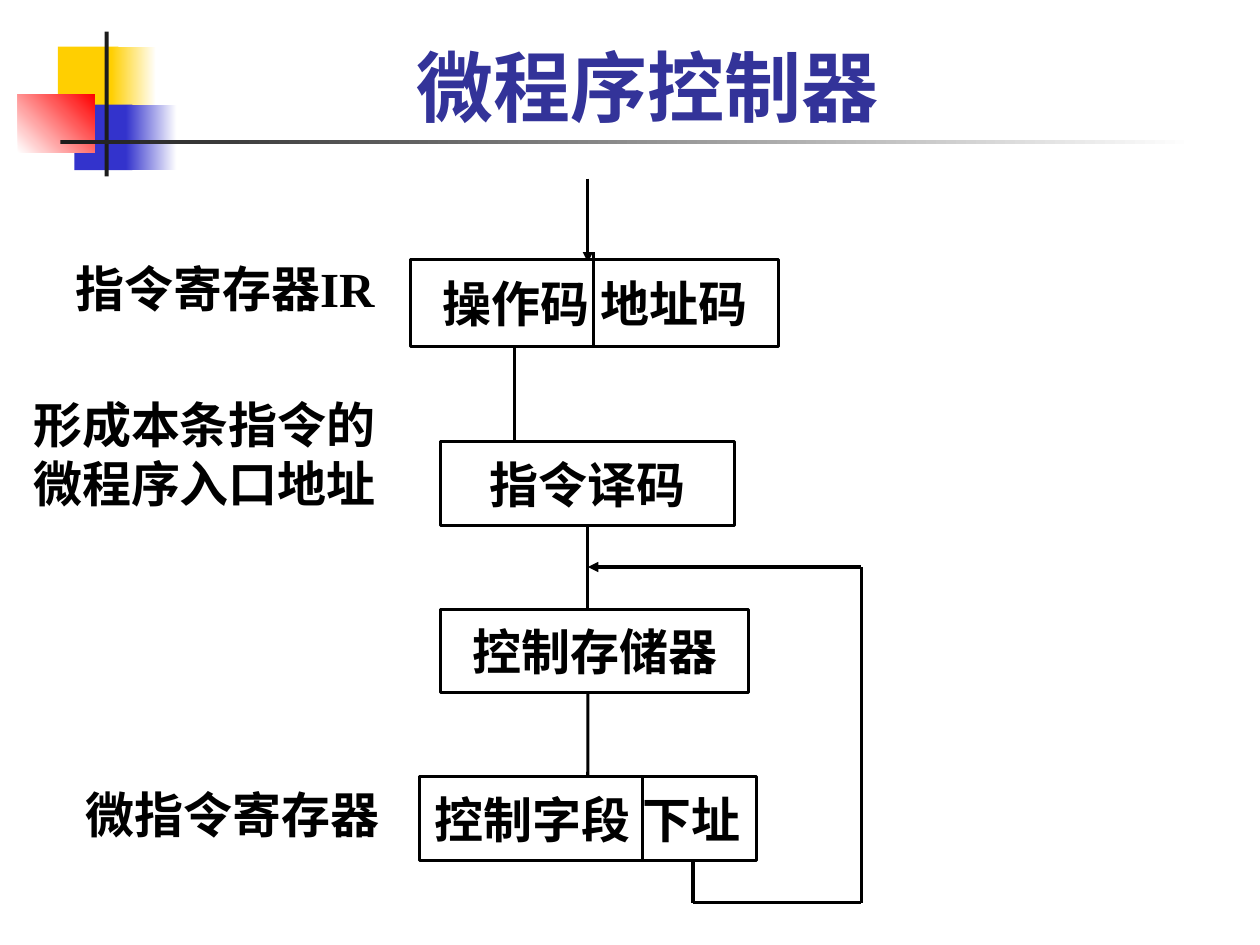
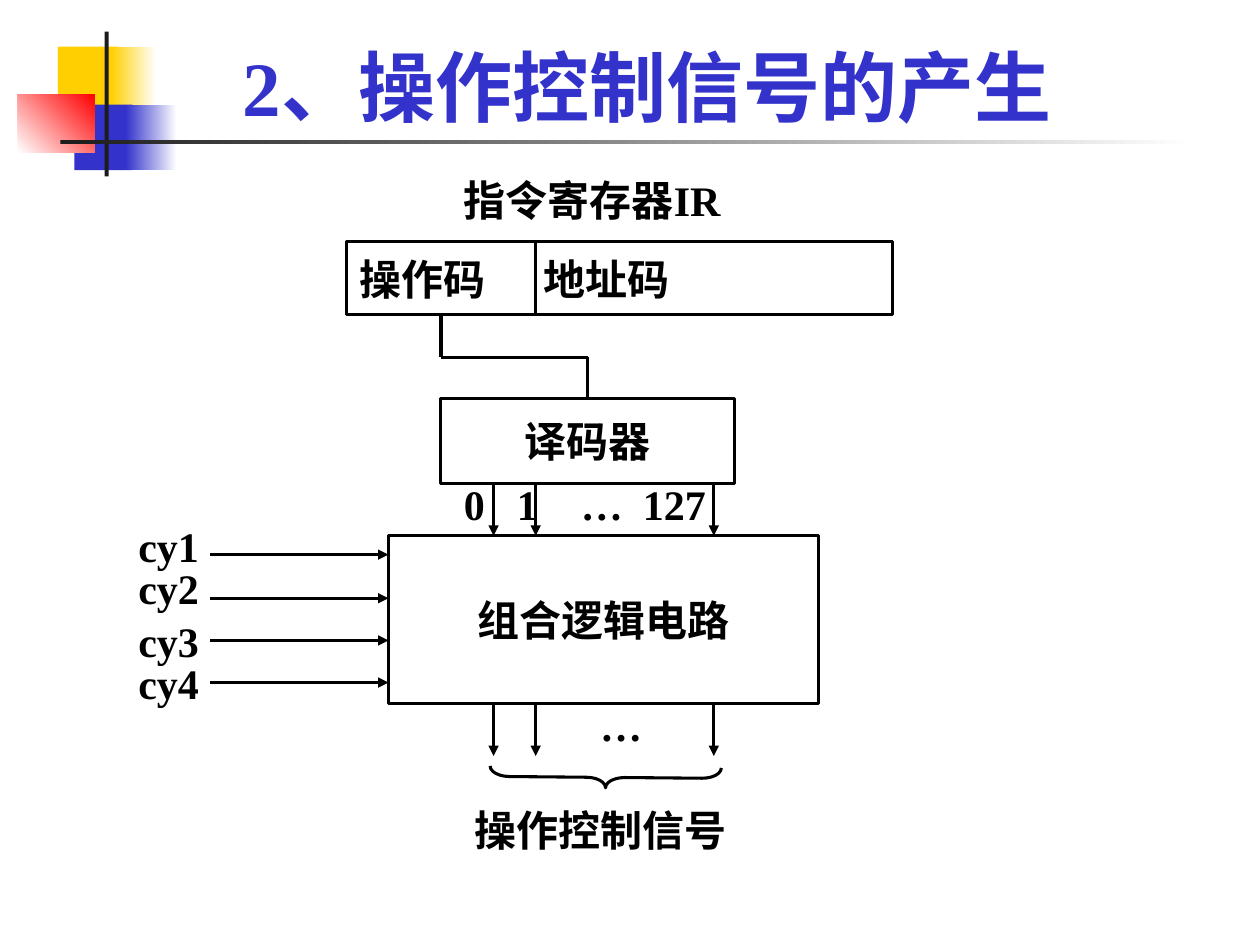
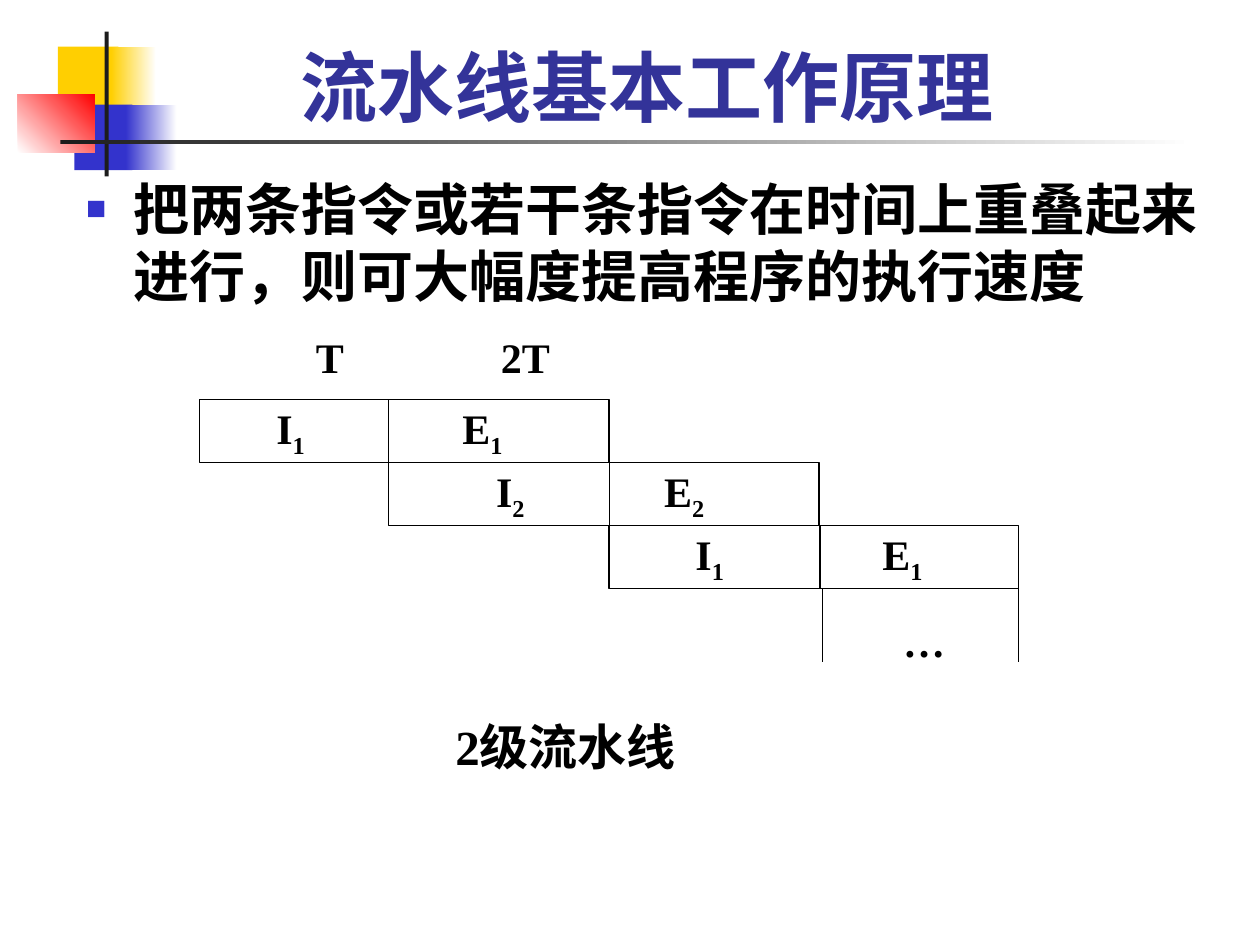
from lxml.etree import SubElement
from pptx import Presentation
from pptx.dml.color import RGBColor
from pptx.enum.shapes import MSO_CONNECTOR as Link, MSO_SHAPE as Preset
from pptx.enum.text import MSO_ANCHOR as Anchor, MSO_AUTO_SIZE as Fit, PP_ALIGN as Align
from pptx.oxml.ns import qn
from pptx.util import Cm, Pt

COLORS = {
    "black": "000000", "white": "FFFFFF", "ink": "1C1C1C", "yellow": "FFCF01",
    "blue": "3333CC", "red": "FF0000", "indigo": "333399",
}
TIMES, ROBOTO, NOTO = "Times New Roman", "Roboto", "Noto Sans CJK SC"
EAST_ASIAN = {TIMES: ROBOTO}
TITLE_ONLY, TITLE_AND_BODY = 5, 1
TOP, BOTTOM = 0, 2
BAND = [
    ((1.17, 0.94, 1.22, 1.32), ("yellow",), 0),
    ((2.24, 0.94, 0.91, 1.32), ("yellow", "white"), 0),
    ((1.5, 2.11, 1.17, 1.32), ("blue",), 0),
    ((2.54, 2.11, 1.02, 1.32), ("blue", "white"), 0),
    ((0.36, 1.9, 1.55, 1.17), ("white", "red"), 45),
    ((2.11, 0.64, 0.08, 2.92), ("ink",), 0),
    ((1.22, 2.82, 22.86, 0.08), ("ink", "white"), 0),
]


def rgb(name):
    """Return the named colour."""
    return RGBColor.from_string(COLORS[name])


def lengths(values):
    """Turn centimetre numbers into lengths."""
    return [Cm(value) for value in values]


class Lecture:
    """Holds the shared style and the slide being drawn."""

    def __init__(self):
        """Start a 4:3 deck."""
        self.deck = Presentation()
        self.deck.slide_width, self.deck.slide_height = Cm(25.4), Cm(19.05)
        self.page = None
        self.weight = 1.75
        self.size = 24

    def open_page(self, title, layout=TITLE_ONLY, color="indigo", font=ROBOTO, size=24, weight=1.75):
        """Add a slide with its title and set its text size and line weight."""
        self.size, self.weight = size, weight
        self.page = self.deck.slides.add_slide(self.deck.slide_layouts[layout])
        self.place(self.page.shapes.title, (1.27, 0.44, 23.57, 2.35))
        self.set_text(self.page.shapes.title, title, font, 44, Align.CENTER, Anchor.BOTTOM, color=color)

    def decorate_master(self):
        """Put the corner squares and the ruler on the slide master."""
        tree = self.deck.slide_master.shapes.element
        for index, (area, colors, angle) in enumerate(BAND):
            patch = self.shape(Preset.RECTANGLE, area)
            if len(colors) == 1:
                patch.fill.solid()
                patch.fill.fore_color.rgb = rgb(colors[0])
            else:
                patch.fill.gradient()
                patch.fill.gradient_angle = angle
                for stop, color in zip(patch.fill.gradient_stops, colors):
                    stop.color.rgb = rgb(color)
            patch.line.fill.background()
            patch.element.nvSpPr.cNvPr.set("id", str(100 + index))
            tree.insert(2 + index, patch.element)

    def place(self, item, area):
        """Move a placeholder to an area."""
        item.left, item.top, item.width, item.height = lengths(area)

    def set_text(self, box, text, font, size, align, anchor, color="black", tabs=(), bullet=False):
        """Fill a box with one paragraph; an underscore lowers the next character."""
        frame = box.text_frame
        frame.word_wrap, frame.auto_size, frame.vertical_anchor = True, Fit.NONE, anchor
        para = frame.paragraphs[0]
        first, *lowered = text.split("_")
        para.add_run().text = first
        for piece in lowered:
            span = para.add_run()
            span.text = piece[0]
            span._r.get_or_add_rPr().set("baseline", "-25000")
            if piece[1:]:
                para.add_run().text = piece[1:]
        para.alignment, para.space_before = align, Pt(0)
        settings = para._p.get_or_add_pPr()
        if bullet:
            settings.set("marL", str(Cm(0.95)))
            settings.set("indent", str(-Cm(0.95)))
            tint = SubElement(settings, qn("a:buClr"))
            SubElement(tint, qn("a:srgbClr"), val=COLORS["blue"])
            SubElement(settings, qn("a:buSzPct"), val="60000")
            SubElement(settings, qn("a:buChar"), char="■")
        if tabs:
            stops = SubElement(settings, qn("a:tabLst"))
            for stop in tabs:
                SubElement(stops, qn("a:tab"), pos=str(Cm(stop)), algn="l")
        para.font.size, para.font.bold, para.font.name = Pt(size), True, font
        para.font.color.rgb = rgb(color)
        SubElement(settings.find(qn("a:defRPr")), qn("a:ea"), typeface=EAST_ASIAN.get(font, font))

    def body(self, text, area):
        """Fill the bulleted body placeholder."""
        holder = self.page.placeholders[1]
        self.place(holder, area)
        self.set_text(holder, text, ROBOTO, 32, Align.LEFT, Anchor.TOP, bullet=True)

    def shape(self, preset, area):
        """Add a preset shape without shadow."""
        item = self.page.shapes.add_shape(preset, *lengths(area))
        item.shadow.inherit = False
        return item

    def outline(self, item):
        """Give an item the black line of this slide."""
        item.line.color.rgb = rgb("black")
        item.line.width = Pt(self.weight)

    def block(self, text, area, font=ROBOTO, align=Align.CENTER, tabs=()):
        """Add a white outlined block with text."""
        box = self.shape(Preset.RECTANGLE, area)
        box.fill.solid()
        box.fill.fore_color.rgb = rgb("white")
        self.outline(box)
        self.set_text(box, text, font, self.size, align, Anchor.MIDDLE, tabs=tabs)
        return box

    def label(self, text, area, font=TIMES, size=None, align=Align.LEFT, tabs=()):
        """Add free text."""
        box = self.page.shapes.add_textbox(*lengths(area))
        self.set_text(box, text, font, size or self.size, align, Anchor.TOP, tabs=tabs)

    def wire(self, *points, arrow=False, start=None, end=None):
        """Draw straight lines through points, joined to blocks where given."""
        for begin, finish in zip(points, points[1:]):
            line = self.page.shapes.add_connector(Link.STRAIGHT, *lengths(begin + finish))
            if start and begin == points[0]:
                line.begin_connect(start, BOTTOM)
            if end and finish == points[-1]:
                line.end_connect(end, TOP)
            self.outline(line)
            properties = line.element.spPr
            if arrow and finish == points[-1]:
                SubElement(properties.find(qn("a:ln")), qn("a:tailEnd"), type="triangle")
            SubElement(properties, qn("a:effectLst"))

    def brace(self, area, rotation):
        """Draw a rotated curly brace."""
        item = self.shape(Preset.LEFT_BRACE, area)
        item.adjustments[0] = 0.92
        item.rotation = rotation
        item.fill.background()
        self.outline(item)


def draw_controller(lecture):
    """Draw the microprogram controller."""
    axis = 11.85
    lecture.open_page("微程序控制器", size=28)
    lecture.decorate_master()
    lecture.wire((axis, 3.6), (axis, 5.29), arrow=True)
    lecture.block("操作码 地址码", (8.28, 5.23, 7.42, 1.75), NOTO)
    lecture.wire((11.96, 5.08), (11.96, 6.98))
    decoder = lecture.block("指令译码", (8.89, 8.91, 5.92, 1.69))
    lecture.wire((10.37, 6.98), (10.37, 8.91))
    lecture.block("控制存储器", (8.89, 12.28, 6.2, 1.69))
    lecture.wire((axis, 10.6), (axis, 12.28), start=decoder)
    register = lecture.block("控制字段 下址", (8.45, 15.66, 6.8, 1.69))
    lecture.wire((axis, 13.97), (axis, 15.66), end=register)
    lecture.wire((12.95, 15.66), (12.95, 17.35))
    lecture.wire((13.97, 17.35), (13.97, 18.2), (17.36, 18.2), (17.36, 11.43), (axis, 11.43), arrow=True)
    lecture.label("指令寄存器IR", (1.27, 5.08, 6.78, 1.45))
    lecture.label("形成本条指令的微程序入口地址", (0.42, 7.83, 7.83, 2.63))
    lecture.label("微指令寄存器", (1.48, 15.69, 6.78, 1.45))


def draw_signals(lecture):
    """Draw how the control signals are produced."""
    lecture.open_page("2、操作控制信号的产生", color="blue", font=TIMES)
    lecture.block("操作码\t地址码", (6.99, 4.87, 11, 1.48), NOTO, Align.LEFT, tabs=[3.71])
    lecture.label("指令寄存器IR", (9.1, 3.39, 8.26, 1.27))
    lecture.wire((10.8, 4.87), (10.8, 6.35))
    decoder = lecture.block("译码器", (8.89, 8.04, 5.92, 1.7))
    lecture.wire((8.89, 6.35), (8.89, 7.2), (11.85, 7.2), (11.85, 8.04), end=decoder)
    lecture.label("0\t1\t…\t127", (9.1, 9.53, 5.92, 1.27), tabs=[1.07, 2.36, 3.61])
    lecture.block("组合逻辑电路", (7.83, 10.8, 8.68, 3.38))
    for x in (9.95, 10.8, 14.39):
        lecture.wire((x, 9.74), (x, 10.8), arrow=True)
        lecture.wire((x, 14.18), (x, 15.24), arrow=True)
    cycles = [(11.18, 10.37), (12.06, 11.22), (12.91, 12.28), (13.76, 13.13)]
    for number, (arrow_y, label_y) in enumerate(cycles, 1):
        lecture.wire((4.24, arrow_y), (7.83, arrow_y), arrow=True)
        lecture.label(f"cy{number}", (2.54, label_y, 2.33, 1.27))
    lecture.label("…", (11.85, 13.97, 1.7, 1.27))
    lecture.brace((12, 13.34, 0.42, 4.66), 270.5)
    lecture.label("操作控制信号", (9.31, 16.09, 6.14, 1.27), ROBOTO)


def draw_pipeline(lecture):
    """Draw the two-stage pipeline."""
    top, height = 8.05, 1.27
    stages = [
        ("\tI_1\tE_1", 4.02, 7.83, 12.28, (1.3, 5.05)),
        ("\tI_2\tE_2", 7.83, 12.28, 16.51, (1.92, 5.31)),
        ("\tI_1\tE_1", 12.28, 16.53, 20.53, (1.49, 5.26)),
    ]
    lecture.open_page("流水线基本工作原理", TITLE_AND_BODY, weight=0.75)
    lecture.body("把两条指令或若干条指令在时间上重叠起来进行，则可大幅度提高程序的执行速度", (1.48, 3.39, 23.29, 3.6))
    lecture.label("\tT\t2T", (4.02, 6.56, 10.16, 1.27), tabs=[2.1, 5.83])
    for row, (text, left, middle, right, tabs) in enumerate(stages):
        y = top + row * height
        lecture.block(text, (left, y, right - left, height), TIMES, Align.LEFT, tabs)
        lecture.wire((middle, y), (middle, y + height))
    for x in (16.58, 20.53):
        lecture.wire((x, top + 3 * height), (x, 13.34))
    lecture.label("…", (17.15, 12.28, 2.96, 1.27), align=Align.CENTER)
    lecture.label("2级流水线", (5.1, 14.32, 12.6, 1.45), size=28, align=Align.CENTER)


def main():
    """Build and save the deck."""
    lecture = Lecture()
    for draw in (draw_controller, draw_signals, draw_pipeline):
        draw(lecture)
    lecture.deck.save("out.pptx")


if __name__ == "__main__":
    main()
